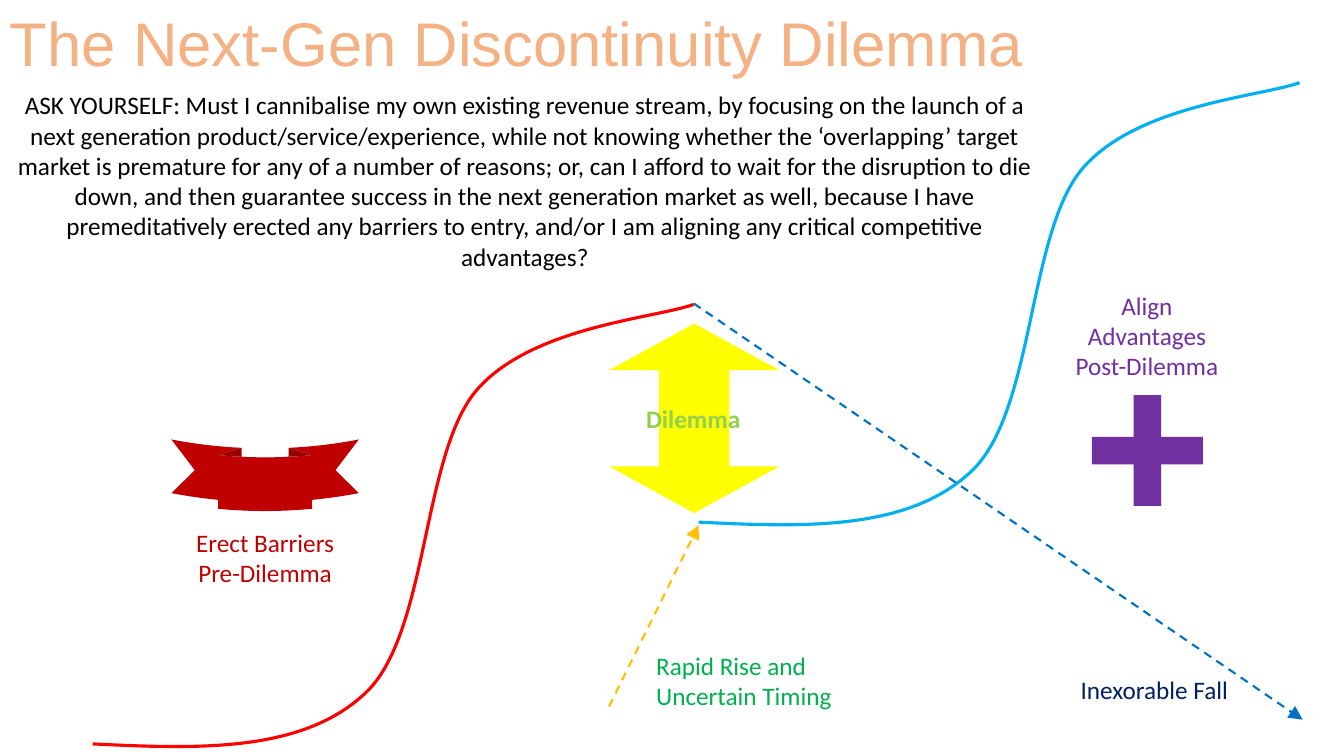
import pptx
import pptx.util
import pptx.dml.color
import pptx.enum.dml
import pptx.enum.shapes
import pptx.enum.text
import pptx.oxml.ns
import lxml.etree

Inches = pptx.util.Inches
ALIGN = pptx.enum.text.PP_ALIGN
SHAPE = pptx.enum.shapes.MSO_SHAPE
qualified = pptx.oxml.ns.qn

CURVE_HEIGHT = 4.39
CURVE_POINTS = [
    (0, 4.36),
    (1.03, 4.41), (2.07, 4.45), (2.7, 3.86),
    (3.33, 3.28), (3.26, 1.51), (3.8, 0.86),
    (4.34, 0.22), (5.57, 0.14), (5.96, 0),
]


def color(value):
    """Turn a hex string into a colour."""
    return pptx.dml.color.RGBColor.from_string(value)


def write(frame, text, size=18, font="Calibri", fill="000000", bold=False, align=ALIGN.LEFT):
    """Write formatted text into a text frame."""
    paragraph = frame.paragraphs[0]
    paragraph.alignment = align
    run = paragraph.add_run()
    run.text = text
    run.font.size = pptx.util.Pt(size)
    run.font.name = font
    run.font.bold = bold
    run.font.color.rgb = color(fill)


def bend(outline):
    """Turn each three line segments of an outline into one Bezier segment."""
    lines = outline.findall(qualified("a:lnTo"))
    for index in range(0, len(lines), 3):
        bezier = lxml.etree.SubElement(outline, qualified("a:cubicBezTo"))
        for line in lines[index:index + 3]:
            bezier.append(line[0])
            outline.remove(line)


class Canvas:
    """Hold the line style and the current slide, and draw elements on it."""

    def __init__(self, slide, curve_width=2.25, arrow_width=1.5):
        """Keep the slide and the line widths."""
        self.slide = slide
        self.curve_width = pptx.util.Pt(curve_width)
        self.arrow_width = pptx.util.Pt(arrow_width)

    def text(self, text, left, top, width, height, **style):
        """Add a wrapping text box."""
        box = self.slide.shapes.add_textbox(*map(Inches, (left, top, width, height)))
        box.text_frame.word_wrap = True
        box.text_frame.auto_size = pptx.enum.text.MSO_AUTO_SIZE.SHAPE_TO_FIT_TEXT
        write(box.text_frame, text, **style)

    def shape(self, kind, left, top, width, height, fill, **adjustments):
        """Add a filled preset shape without outline, adjusted by guide name."""
        shape = self.slide.shapes.add_shape(kind, *map(Inches, (left, top, width, height)))
        shape.shadow.inherit = False
        shape.fill.solid()
        shape.fill.fore_color.rgb = color(fill)
        shape.line.fill.background()
        if adjustments:
            guides = shape._element.spPr.find(".//" + qualified("a:avLst"))
            guides.clear()
            for name, value in adjustments.items():
                lxml.etree.SubElement(guides, qualified("a:gd"), name=name, fmla=f"val {value}")

    def curve(self, left, top, line):
        """Add an S-curve with its top left corner at the given place."""
        points = [(Inches(left + x), Inches(top + y)) for x, y in CURVE_POINTS]
        builder = self.slide.shapes.build_freeform(*points[0])
        builder.add_line_segments(points[1:], close=False)
        shape = builder.convert_to_shape()
        shape.height = Inches(CURVE_HEIGHT)
        outline = shape._element.spPr.find(".//" + qualified("a:path"))
        outline.set("h", str(Inches(CURVE_HEIGHT)))
        bend(outline)
        shape.shadow.inherit = False
        shape.fill.background()
        shape.line.color.rgb = color(line)
        shape.line.width = self.curve_width

    def arrow(self, start, end, line):
        """Add a dashed arrow."""
        connector = self.slide.shapes.add_connector(
            pptx.enum.shapes.MSO_CONNECTOR.STRAIGHT, *map(Inches, start + end))
        connector.line.color.rgb = color(line)
        connector.line.width = self.arrow_width
        connector.line.dash_style = pptx.enum.dml.MSO_LINE.DASH
        properties = connector._element.spPr
        lxml.etree.SubElement(properties.find(qualified("a:ln")), qualified("a:tailEnd"),
                              type="triangle", w="lg", len="lg")
        lxml.etree.SubElement(properties, qualified("a:effectLst"))


presentation = pptx.Presentation()
presentation.slide_width = Inches(13.33)
presentation.slide_height = Inches(7.5)
canvas = Canvas(presentation.slides.add_slide(presentation.slide_layouts[6]))

canvas.text("The Next-Gen Discontinuity Dilemma", 0, 0, 13.33, 0.84,
            size=44, font="Arial", fill="F4B183")
canvas.curve(6.93, 0.82, "00B0F0")
canvas.curve(0.92, 3.02, "FF0000")
canvas.arrow((6.04, 7.01), (6.93, 5.21), "FFC000")
canvas.arrow((6.88, 3.01), (12.92, 7.14), "0070C0")
canvas.text(
    "ASK YOURSELF: Must I cannibalise my own existing revenue stream, by focusing on the "
    "launch of a next generation product/service/experience, while not knowing whether the "
    "‘overlapping’ target market is premature for any of a number of reasons; or, can I "
    "afford to wait for the disruption to die down, and then guarantee success in the next "
    "generation market as well, because I have premeditatively erected any barriers to entry, "
    "and/or I am aligning any critical competitive advantages?",
    0, 0.84, 10.41, 1.92, align=ALIGN.CENTER)
canvas.text("Rapid Rise and Uncertain Timing", 6.41, 6.4, 1.94, 0.71, fill="00B050")
canvas.text("Inexorable Fall", 10.62, 6.64, 1.74, 0.4, fill="002060")
canvas.shape(SHAPE.UP_DOWN_ARROW, 6.04, 3.21, 1.69, 1.88, "FFFF00", adj1=41200, adj2=27400)
canvas.text("Dilemma", 6.31, 3.95, 1.17, 0.4, fill="92D050", bold=True)
canvas.shape(SHAPE.CROSS, 10.83, 3.92, 1.1, 1.1, "7030A0", adj=37600)
canvas.shape(SHAPE.CURVED_DOWN_RIBBON, 1.7, 4.36, 1.86, 0.71, "C00000")
canvas.text("Align Advantages Post-Dilemma", 10.49, 2.83, 1.77, 1.01,
            fill="7030A0", align=ALIGN.CENTER)
canvas.text("Erect Barriers Pre-Dilemma", 1.7, 5.18, 1.86, 0.71,
            fill="C00000", align=ALIGN.CENTER)

presentation.save("out.pptx")
